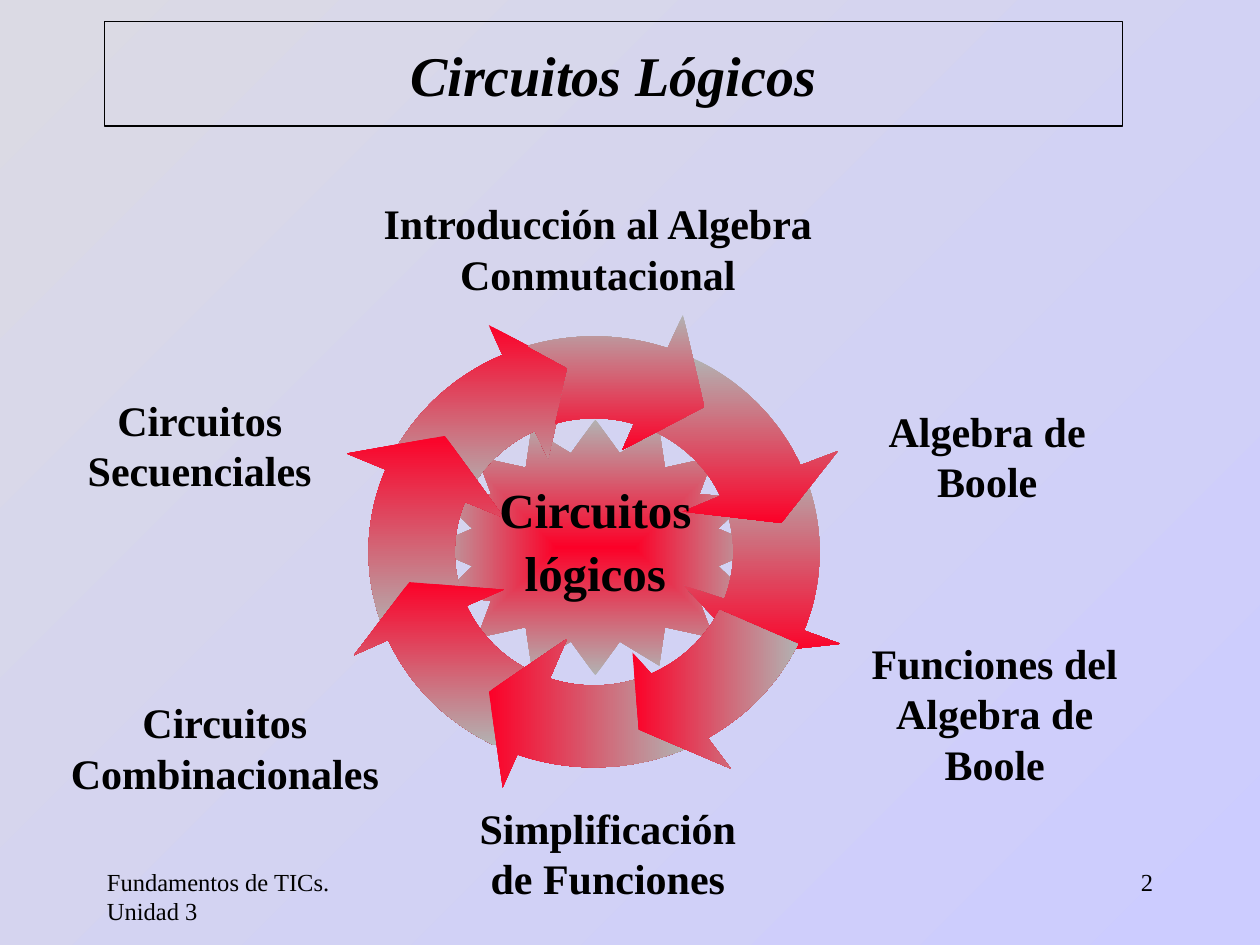
from dataclasses import dataclass
from math import atan2, cos, pi, sin

from lxml import etree
from pptx import Presentation, util as u
from pptx.dml.color import RGBColor
from pptx.enum import shapes, text
from pptx.oxml.ns import qn

Point = tuple[float, float]


@dataclass(frozen=True)
class Theme:
    font: str = "Times New Roman"
    ink: str = "000000"
    red: str = "FC0128"
    gray: str = "B2B2B2"
    background: tuple[str, str] = ("DBDAE4", "CCCCFF")
    title: int = 32
    center: int = 28
    label: int = 24
    footer: int = 14


@dataclass(frozen=True)
class Ellipse:
    radius_x: float
    radius_y: float
    center: Point = (4.715, 4.38)

    def angle(self, point: Point) -> float:
        return atan2((point[1] - self.center[1]) / self.radius_y,
                     (point[0] - self.center[0]) / self.radius_x)

    def arc(self, start: Point, end: Point, steps: int = 30) -> list[Point]:
        """Points along the shorter way round between two directions."""
        first = self.angle(start)
        sweep = (self.angle(end) - first + pi) % (2 * pi) - pi
        angles = [first + sweep * step / steps for step in range(steps + 1)]
        return [(self.center[0] + self.radius_x * cos(angle),
                 self.center[1] + self.radius_y * sin(angle)) for angle in angles]


@dataclass(frozen=True)
class RingArrow:
    outer: tuple[Point, Point]
    head: tuple[Point, Point, Point]
    inner: tuple[Point, Point]
    colors: tuple[str, str]
    gradient_angle: int = 270
    notch: tuple[Point, ...] = ()


@dataclass(frozen=True)
class Label:
    words: str
    left: float
    top: float
    width: float
    height: float = 0.9


THEME = Theme()
OUTER = Ellipse(1.79, 1.71)
INNER = Ellipse(1.105, 1.06)
RED_FIRST = (THEME.red, THEME.gray)
GRAY_FIRST = (THEME.gray, THEME.red)

ARROWS = [
    RingArrow(((3.1, 3.65), (3.99, 2.82)), ((3.88, 2.58), (4.52, 2.92), (4.35, 3.64)),
              ((4.25, 3.43), (3.71, 3.93)), RED_FIRST),
    RingArrow(((3.06, 5.03), (3.04, 3.72)), ((2.75, 3.6), (3.53, 3.46), (4, 4.11)),
              ((3.68, 3.98), (3.66, 4.66)), RED_FIRST),
    RingArrow(((3.93, 5.91), (3.08, 5.08)), ((2.81, 5.2), (3.25, 4.62), (4, 4.68)),
              ((3.7, 4.81), (4.22, 5.32)), RED_FIRST),
    RingArrow(((5.45, 5.96), (4.11, 5.98)), ((3.99, 6.25), (3.88, 5.49), (4.5, 5.07)),
              ((4.37, 5.37), (5.07, 5.39)), RED_FIRST, 0),
    RingArrow(((6.37, 3.7), (6.37, 5)), ((6.67, 5.11), (5.94, 5.19), (5.43, 4.65)),
              ((5.74, 4.75), (5.77, 4.06)), GRAY_FIRST),
    RingArrow(((5.5, 2.84), (6.36, 3.69)), ((6.65, 3.58), (6.2, 4.15), (5.42, 4.06)),
              ((5.73, 3.93), (5.21, 3.43)), GRAY_FIRST),
    RingArrow(((4.19, 2.75), (5.3, 2.76)), ((5.42, 2.5), (5.59, 3.23), (4.94, 3.57)),
              ((5.03, 3.37), (4.41, 3.37)), GRAY_FIRST, notch=((4.51, 2.92),)),
    RingArrow(((6.35, 5.12), (5.62, 5.86)), ((5.8, 6.1), (5.07, 5.79), (5.02, 5.18)),
              ((5.17, 5.35), (5.73, 4.85)), RED_FIRST, 0),
]

LABELS = [
    Label("Introducción al Algebra Conmutacional", 2.58, 1.52, 4.33),
    Label("Algebra de Boole", 6.67, 3.17, 2.33),
    Label("Circuitos Combinacionales", 0.2, 5.48, 3.17),
    Label("Circuitos Secuenciales", 0.42, 3.08, 2.33),
    Label("Funciones del Algebra de Boole", 6.73, 5.01, 2.33, 1.3),
    Label("Simplificación de Funciones", 3.66, 6.32, 2.33),
]


def fill_gradient(fill, colors: tuple[str, str], angle: float) -> None:
    fill.gradient()
    fill.gradient_angle = angle
    for stop, color in zip(fill.gradient_stops, colors):
        stop.color.rgb = RGBColor.from_string(color)


def style(paragraph, size: int, alignment, bold: bool = False, italic: bool = False) -> None:
    paragraph.alignment = alignment
    font = paragraph.font
    font.name, font.size = THEME.font, u.Pt(size)
    font.bold, font.italic = bold, italic
    font.color.rgb = RGBColor.from_string(THEME.ink)


def add_text(parent, label: Label, size: int, alignment=text.PP_ALIGN.CENTER,
             bold: bool = True):
    box = parent.add_textbox(u.Inches(label.left), u.Inches(label.top),
                             u.Inches(label.width), u.Inches(label.height))
    frame = box.text_frame
    frame.word_wrap = True
    frame.text = label.words
    for paragraph in frame.paragraphs:
        style(paragraph, size, alignment, bold)
    return frame


def add_text_shadow(run) -> None:
    effects = etree.SubElement(run._r.get_or_add_rPr(), qn("a:effectLst"))
    shadow = etree.SubElement(effects, qn("a:outerShdw"), blurRad="0",
                              dist="38100", dir="2700000", algn="tl")
    etree.SubElement(shadow, qn("a:srgbClr"), val="808080")


def add_star(parent) -> None:
    star = parent.add_shape(shapes.MSO_SHAPE.STAR_16_POINT, u.Inches(3.4), u.Inches(3.33),
                            u.Inches(2.65), u.Inches(2.03))
    star.adjustments[0] = 0.375
    star.shadow.inherit = False
    star.line.fill.background()
    fill_gradient(star.fill, RED_FIRST, 0)
    # Radiate from the middle instead of along a line
    gradient = star._element.spPr.find(qn("a:gradFill"))
    gradient.remove(gradient.find(qn("a:lin")))
    radial = etree.SubElement(gradient, qn("a:path"), {"path": "shape"})
    etree.SubElement(radial, qn("a:fillToRect"), l="50000", t="50000", r="50000", b="50000")


def add_ring_arrow(parent, arrow: RingArrow) -> None:
    outline = [*OUTER.arc(*arrow.outer), *arrow.head, *INNER.arc(*arrow.inner), *arrow.notch]
    points = [(u.Inches(x), u.Inches(y)) for x, y in outline]
    builder = parent.build_freeform(*points[0])
    builder.add_line_segments(points[1:], close=True)
    shape = builder.convert_to_shape()
    shape.shadow.inherit = False
    shape.line.fill.background()
    fill_gradient(shape.fill, arrow.colors, arrow.gradient_angle)


def main() -> None:
    presentation = Presentation()
    presentation.slide_width, presentation.slide_height = u.Inches(10), u.Inches(7.5)
    slide = presentation.slides.add_slide(presentation.slide_layouts[5])
    fill_gradient(slide.background.fill, THEME.background, 315)

    # Footer and page number
    add_text(slide.shapes, Label("Fundamentos de TICs. Unidad 3", 0.75, 6.83, 2.08, 0.5),
             THEME.footer, text.PP_ALIGN.LEFT, bold=False)
    add_text(slide.shapes, Label("2", 7.17, 6.83, 2.08, 0.5),
             THEME.footer, text.PP_ALIGN.RIGHT, bold=False)

    # Framed title
    title = slide.shapes.title
    title.left, title.top = u.Inches(0.83), u.Inches(0.17)
    title.width, title.height = u.Inches(8.08), u.Inches(0.83)
    title.line.color.rgb = RGBColor.from_string(THEME.ink)
    title.line.width = u.Pt(0.75)
    title.text_frame.text = "Circuitos Lógicos"
    title.text_frame.vertical_anchor = text.MSO_ANCHOR.MIDDLE
    style(title.text_frame.paragraphs[0], THEME.title, text.PP_ALIGN.CENTER, True, True)

    # Star, ring of arrows and central caption
    ring = slide.shapes.add_group_shape().shapes
    add_star(ring)
    for arrow in ARROWS:
        add_ring_arrow(ring, arrow)
    caption = add_text(ring, Label("Circuitos\nlógicos", 3.29, 3.92, 2.87, 0.95), THEME.center)
    for paragraph in caption.paragraphs:
        paragraph.line_spacing = u.Pt(22)
    caption.paragraphs[1].space_before = u.Pt(14)

    # Topics around the ring
    for label in LABELS:
        frame = add_text(slide.shapes, label, THEME.label)
        add_text_shadow(frame.paragraphs[0].runs[0])

    presentation.save("out.pptx")


if __name__ == "__main__":
    main()
